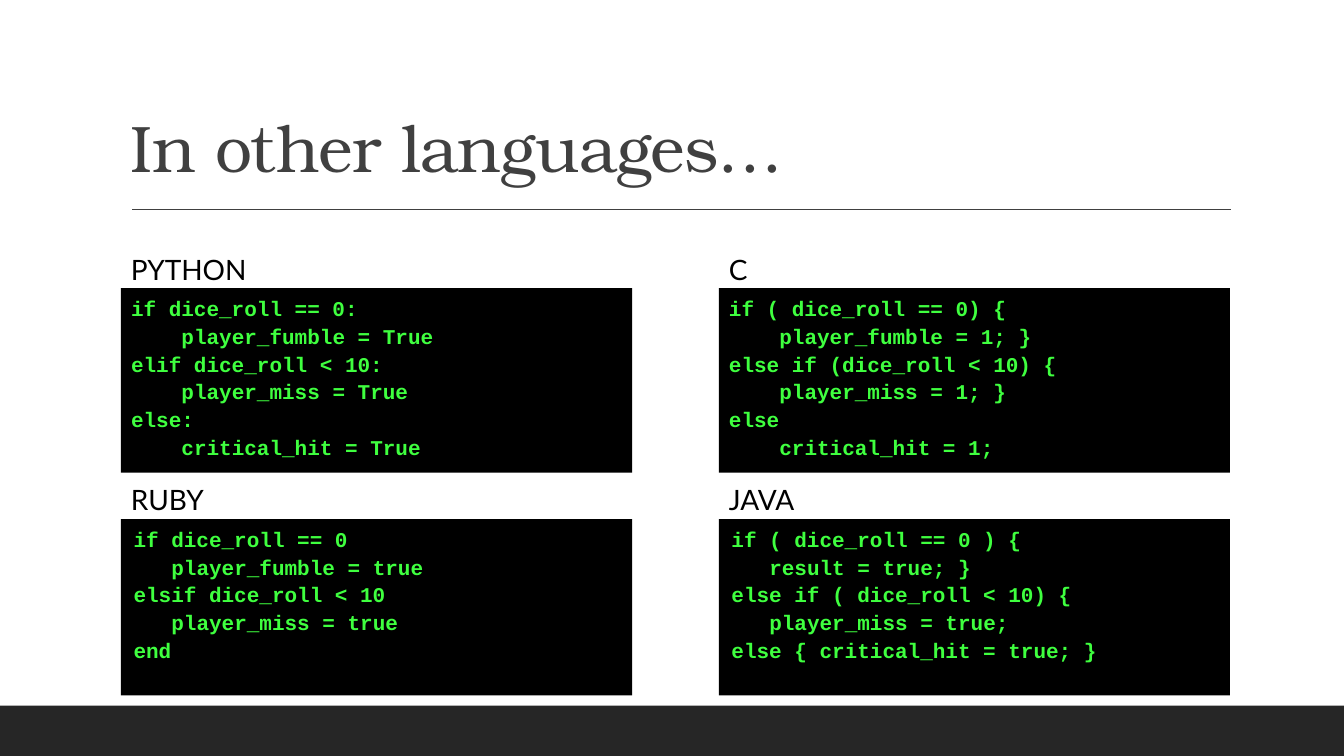
from dataclasses import dataclass

from pptx import Presentation
from pptx.dml.color import RGBColor
from pptx.enum.shapes import MSO_CONNECTOR, MSO_SHAPE
from pptx.enum.text import MSO_ANCHOR, PP_ALIGN
from pptx.oxml.ns import qn
from pptx.slide import Slide
from pptx.text.text import TextFrame
from pptx.util import Inches, Pt
from lxml import etree

RECTANGLE = MSO_SHAPE.RECTANGLE
STRAIGHT = MSO_CONNECTOR.STRAIGHT
TOP, MIDDLE, BOTTOM = MSO_ANCHOR.TOP, MSO_ANCHOR.MIDDLE, MSO_ANCHOR.BOTTOM
LEFT = PP_ALIGN.LEFT

BLACK = RGBColor(0x00, 0x00, 0x00)
FOOTER_GREY = RGBColor(0x26, 0x26, 0x26)
TITLE_GREY = RGBColor(0x40, 0x40, 0x40)
TERMINAL_GREEN = RGBColor(0x3F, 0xFF, 0x3F)

COLUMN_LEFTS = (1.2, 7.13)
PANEL_WIDTH = 5.07
LABEL_HEIGHT = 0.81


@dataclass(frozen=True)
class Style:
    font: str
    size: float
    color: RGBColor
    bold: bool = False
    line_spacing: float = 1.1
    before: float = 12
    after: float = 2


@dataclass(frozen=True)
class Row:
    label_top: float
    code_top: float
    code_height: float
    indent: float


@dataclass(frozen=True)
class Example:
    language: str
    row: Row
    column: int
    code: str


TITLE = Style("TeX Gyre Bonum", 47, TITLE_GREY, line_spacing=0.9, before=0, after=0)
LABEL = Style("Lato", 20, BLACK)
CODE = Style("Courier New", 15, TERMINAL_GREEN, bold=True)

UPPER = Row(label_top=2.25, code_top=2.86, code_height=1.83, indent=0.1)
LOWER = Row(label_top=4.53, code_top=5.15, code_height=1.75, indent=0)

EXAMPLES = (
    Example("PYTHON", UPPER, 0,
            "if dice_roll == 0:\n"
            "\tplayer_fumble = True\n"
            "elif dice_roll < 10:\n"
            "\tplayer_miss = True\n"
            "else:\n"
            "\tcritical_hit = True"),
    Example("C", UPPER, 1,
            "if ( dice_roll == 0) {\n"
            "\tplayer_fumble = 1; }\n"
            "else if (dice_roll < 10) {\n"
            "\tplayer_miss = 1; }\n"
            "else\n"
            "\tcritical_hit = 1;"),
    Example("RUBY", LOWER, 0,
            " if dice_roll == 0\n"
            "\tplayer_fumble = true\n"
            " elsif dice_roll < 10\n"
            "\tplayer_miss = true\n"
            " end"),
    Example("JAVA", LOWER, 1,
            " if ( dice_roll == 0 ) {\n"
            "\tresult = true; }\n"
            " else if ( dice_roll < 10) {\n"
            "\tplayer_miss = true;\n"
            " else { critical_hit = true; }"),
)


def write(frame: TextFrame, text: str, style: Style, anchor: MSO_ANCHOR,
          indent: float = 0, tracking: float = 0) -> None:
    """Fill a frame with one paragraph; newlines become line breaks."""
    frame.word_wrap = True
    frame.vertical_anchor = anchor
    paragraph = frame.paragraphs[0]
    paragraph.text = text
    paragraph.alignment = LEFT
    paragraph.line_spacing = style.line_spacing
    paragraph.space_before = Pt(style.before)
    paragraph.space_after = Pt(style.after)
    font = paragraph.font
    font.name = style.font
    font.size = Pt(style.size)
    font.bold = style.bold
    font.color.rgb = style.color
    properties = paragraph._p.get_or_add_pPr()
    if indent:
        properties.set("marL", str(Inches(indent)))
    if tracking:
        properties.find(qn("a:defRPr")).set("spc", str(int(tracking * 100)))


def add_text(slide: Slide, left: float, top: float, width: float, height: float,
             text: str, style: Style, anchor: MSO_ANCHOR, tracking: float = 0) -> None:
    box = slide.shapes.add_textbox(Inches(left), Inches(top), Inches(width), Inches(height))
    write(box.text_frame, text, style, anchor, tracking=tracking)


def add_block(slide: Slide, left: float, top: float, width: float, height: float,
              color: RGBColor) -> TextFrame:
    block = slide.shapes.add_shape(
        RECTANGLE, Inches(left), Inches(top), Inches(width), Inches(height))
    block.shadow.inherit = False
    block.fill.solid()
    block.fill.fore_color.rgb = color
    block.line.fill.background()
    return block.text_frame


def add_rule(slide: Slide, left: float, right: float, y: float) -> None:
    rule = slide.shapes.add_connector(
        STRAIGHT, Inches(left), Inches(y), Inches(right), Inches(y))
    rule.line.color.rgb = TITLE_GREY
    rule.line.width = Pt(1)
    etree.SubElement(rule._element.spPr, qn("a:effectLst"))


def add_example(slide: Slide, example: Example) -> None:
    row, left = example.row, COLUMN_LEFTS[example.column]
    add_text(slide, left, row.label_top, PANEL_WIDTH, LABEL_HEIGHT,
             example.language, LABEL, MIDDLE)
    terminal = add_block(slide, left, row.code_top, PANEL_WIDTH, row.code_height, BLACK)
    terminal.margin_left = terminal.margin_right = 0
    write(terminal, example.code, CODE, TOP, indent=row.indent)


def main() -> None:
    presentation = Presentation()
    presentation.slide_width = Inches(13.33)
    presentation.slide_height = Inches(7.5)
    slide = presentation.slides.add_slide(presentation.slide_layouts[6])

    # Footer band, title and rule
    add_block(slide, 0, 7, 13.33, 0.5, FOOTER_GREY)
    add_rule(slide, 1.31, 12.21, 2.08)
    add_text(slide, 1.2, 0.31, 11, 1.59, "In other languages…", TITLE, BOTTOM, tracking=-0.5)

    # Labelled code panels
    for example in EXAMPLES:
        add_example(slide, example)

    presentation.save("out.pptx")


if __name__ == "__main__":
    main()
